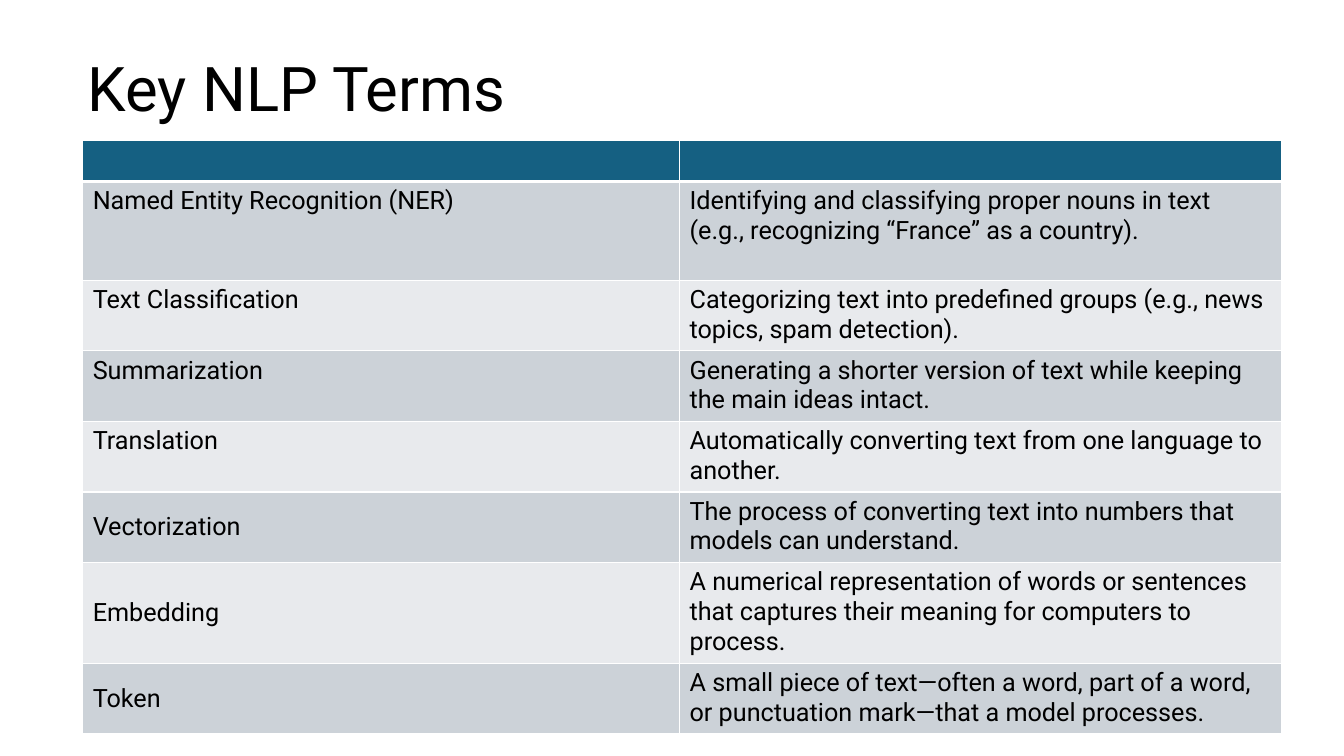
"""Build the Key NLP Terms slide with its table of definitions."""
from lxml.etree import SubElement
from pptx import Presentation
from pptx.dml.color import RGBColor
from pptx.enum.text import MSO_ANCHOR
from pptx.oxml.ns import qn
from pptx.util import Inches, Pt

BLACK = RGBColor(0x00, 0x00, 0x00)
WHITE = RGBColor(0xFF, 0xFF, 0xFF)
TEAL = RGBColor(0x15, 0x60, 0x82)
DARK = RGBColor(0xCC, 0xD2, 0xD8)
LIGHT = RGBColor(0xE8, 0xEA, 0xED)

TERMS = [
    ("Named Entity Recognition (NER)",
     "Identifying and classifying proper nouns in text (e.g., recognizing “France” as a country).", 0.98),
    ("Text Classification",
     "Categorizing text into predefined groups (e.g., news topics, spam detection).", 0.69),
    ("Summarization",
     "Generating a shorter version of text while keeping the main ideas intact.", 0.69),
    ("Translation",
     "Automatically converting text from one language to another.", 0.69),
    ("Vectorization",
     "The process of converting text into numbers that models can understand.", 0.69),
    ("Embedding",
     "A numerical representation of words or sentences that captures their meaning for computers to process.", 0.98),
    ("Token",
     "A small piece of text—often a word, part of a word, or punctuation mark—that a model processes.", 0.69),
]
MIDDLE = ("Vectorization", "Embedding", "Token")


def style(para, size):
    para.font.name = "Roboto"
    para.font.size = Pt(size)
    para.font.color.rgb = BLACK


def paint(cell, color, top, bottom):
    props = cell._tc.get_or_add_tcPr()
    for side, width in (("L", 1), ("R", 1), ("T", top), ("B", bottom)):
        line = SubElement(props, qn(f"a:ln{side}"), w=str(Pt(width)))
        fill = SubElement(line, qn("a:solidFill"))
        SubElement(fill, qn("a:srgbClr"), val=str(WHITE))
    cell.fill.solid()
    cell.fill.fore_color.rgb = color


deck = Presentation()
deck.slide_width = Inches(13.33)
deck.slide_height = Inches(7.5)
slide = deck.slides.add_slide(deck.slide_layouts[6])

title = slide.shapes.add_textbox(Inches(0.77), Inches(0.18), Inches(11.5), Inches(1.45))
frame = title.text_frame
frame.word_wrap = True
frame.vertical_anchor = MSO_ANCHOR.MIDDLE
frame.text = "Key NLP Terms"
frame.paragraphs[0].line_spacing = 0.9
style(frame.paragraphs[0], 44)

rows = [("", "", 0.41)] + TERMS
table = slide.shapes.add_table(
    len(rows), 2, Inches(0.82), Inches(1.39), Inches(11.89), Inches(5.82)).table
table.columns[0].width = Inches(5.92)
table.columns[1].width = Inches(5.97)

for i, (term, meaning, height) in enumerate(rows):
    table.rows[i].height = Inches(height)
    color = TEAL if i == 0 else DARK if i % 2 else LIGHT
    for j, text in enumerate((term, meaning)):
        cell = table.cell(i, j)
        paint(cell, color, 3 if i == 1 else 1, 3 if i == 0 else 1)
        cell.text_frame.text = text
        style(cell.text_frame.paragraphs[0], 18)
    if term in MIDDLE:
        table.cell(i, 0).vertical_anchor = MSO_ANCHOR.MIDDLE

deck.save("out.pptx")
